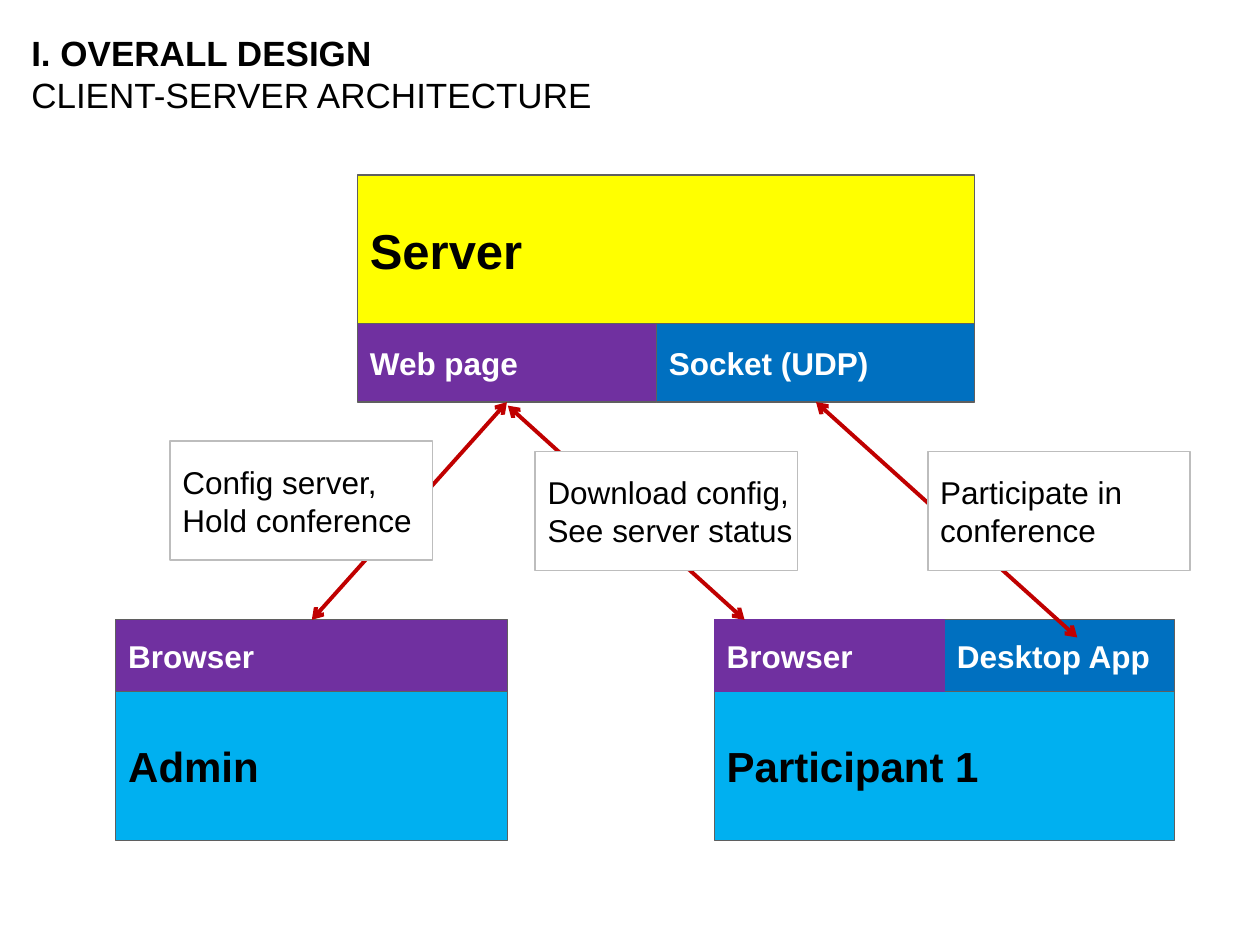
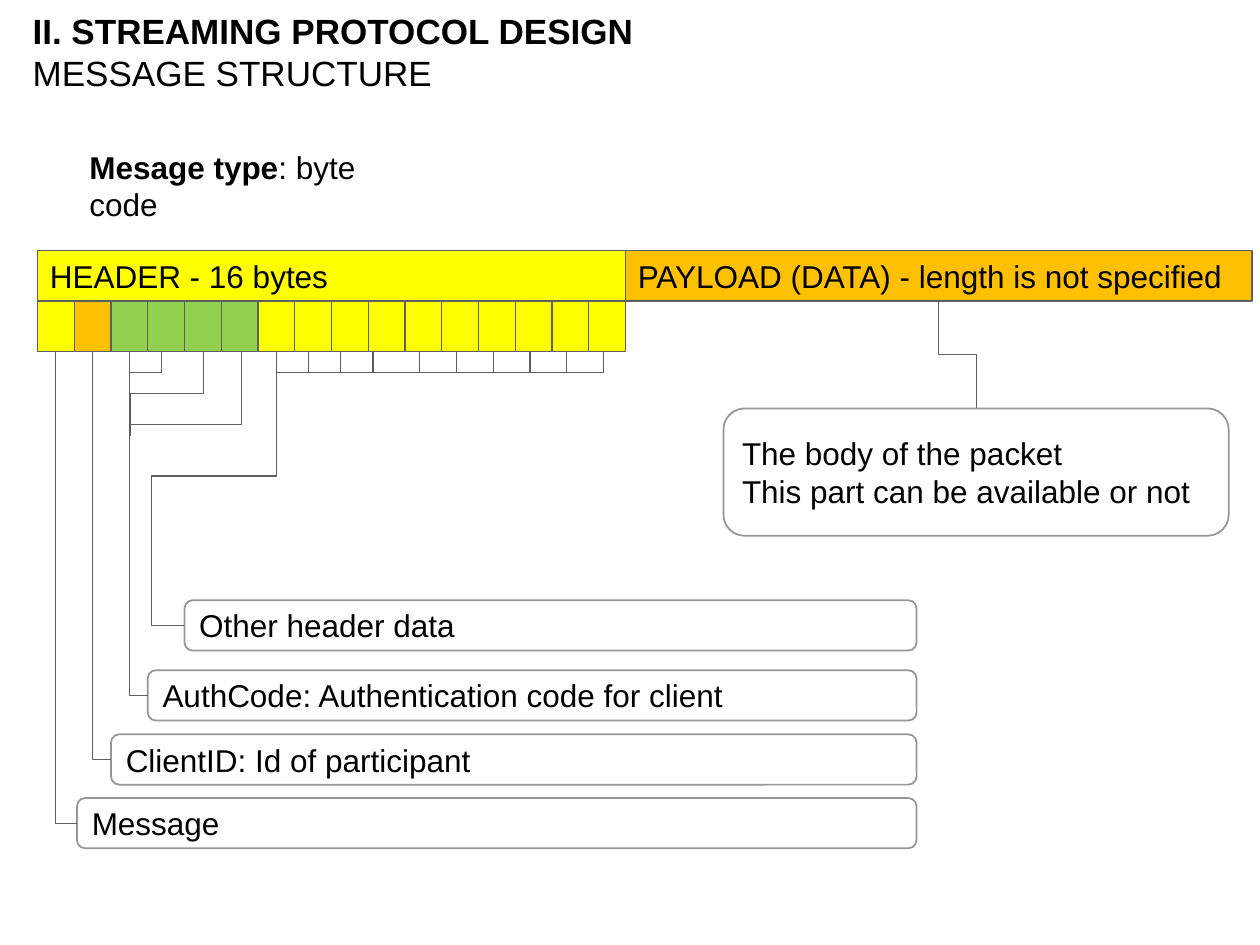
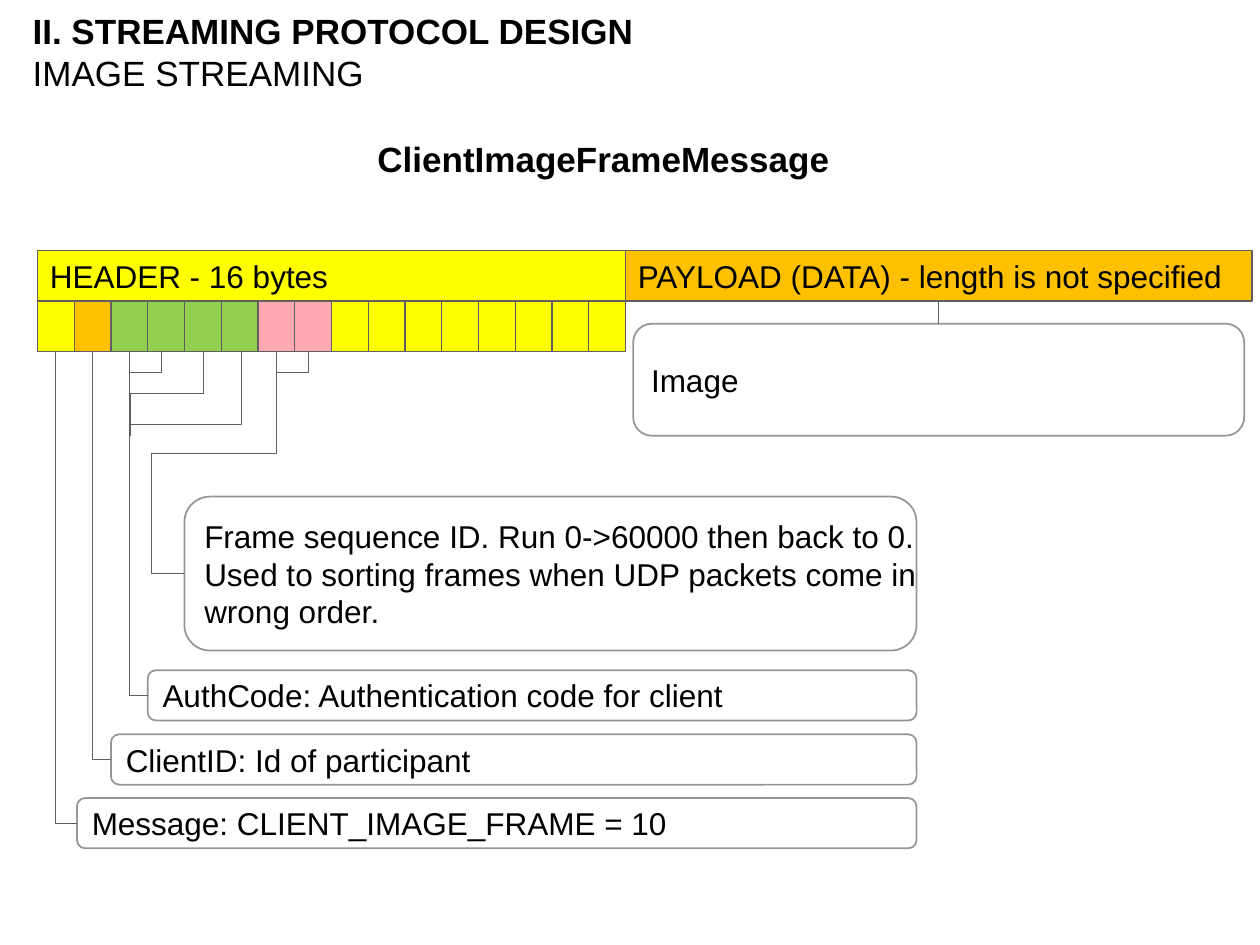
from dataclasses import dataclass

from pptx import Presentation
from pptx.dml.color import RGBColor
from pptx.enum.shapes import MSO_CONNECTOR, MSO_SHAPE
from pptx.enum.text import MSO_ANCHOR, MSO_AUTO_SIZE, PP_ALIGN
from pptx.oxml.ns import qn
from pptx.oxml.xmlchemy import OxmlElement
from pptx.shapes.autoshape import Shape
from pptx.shapes.connector import Connector
from pptx.slide import Slide
from pptx.text.text import TextFrame
from pptx.util import Pt

RECTANGLE = MSO_SHAPE.RECTANGLE
ROUNDED = MSO_SHAPE.ROUNDED_RECTANGLE
STRAIGHT = MSO_CONNECTOR.STRAIGHT
ELBOW = MSO_CONNECTOR.ELBOW
MIDDLE = MSO_ANCHOR.MIDDLE
TOP = MSO_ANCHOR.TOP
LEFT = PP_ALIGN.LEFT
FIT_SHAPE = MSO_AUTO_SIZE.SHAPE_TO_FIT_TEXT
NO_FIT = MSO_AUTO_SIZE.NONE

BLACK = RGBColor(0x00, 0x00, 0x00)
WHITE = RGBColor(0xFF, 0xFF, 0xFF)
YELLOW = RGBColor(0xFF, 0xFF, 0x00)
ORANGE = RGBColor(0xFF, 0xC0, 0x00)
GREEN = RGBColor(0x92, 0xD0, 0x50)
PINK = RGBColor(0xFE, 0xA8, 0xB2)
PURPLE = RGBColor(0x70, 0x30, 0xA0)
BLUE = RGBColor(0x00, 0x70, 0xC0)
SKY = RGBColor(0x00, 0xB0, 0xF0)
RED = RGBColor(0xC0, 0x00, 0x00)
OUTLINE = RGBColor(0x5F, 0x5F, 0x5F)
NOTE_OUTLINE = RGBColor(0xBD, 0xBD, 0xBD)
CALLOUT_OUTLINE = RGBColor(0x96, 0x96, 0x96)

FONT = "Arial"
LEFT_SITE, BOTTOM_SITE, TOP_SITE = 1, 2, 0

HEADER_LEFT, HEADER_TOP, ROW_HEIGHT = 21.4, 143.2, 28.8
CELL_WIDTH, CELL_COUNT = 21, 16
PAYLOAD_LEFT = HEADER_LEFT + CELL_WIDTH * CELL_COUNT
PAYLOAD_WIDTH = 358
PAYLOAD_CENTER = PAYLOAD_LEFT + PAYLOAD_WIDTH / 2
CELL_TOP = HEADER_TOP + ROW_HEIGHT
CELL_BOTTOM = CELL_TOP + ROW_HEIGHT
STUB_BOTTOM = 213.1
STUB_STEP = 18.4
CALLOUT_RIGHT = 523.8
OTHER_LEFT = 105.4
OTHER_LEAD_LEFT = 86.4

Point = tuple[float, float]
Spans = list[tuple[str, bool]]


@dataclass(frozen=True)
class Box:
    left: float
    top: float
    width: float
    height: float
    lines: tuple[str, ...] = ()
    fill: RGBColor = WHITE
    outline: RGBColor = OUTLINE
    outline_width: float = 0.75
    size: float = 18
    bold: bool = False
    color: RGBColor = BLACK
    preset: MSO_SHAPE = RECTANGLE


@dataclass(frozen=True)
class Callout:
    left: float
    top: float
    lines: tuple[str, ...]
    cell: int
    height: float = ROW_HEIGHT


def fill_text(frame: TextFrame, paragraphs: list[Spans], size: float,
              color: RGBColor, frame_format: dict[str, object]) -> None:
    for name, value in frame_format.items():
        setattr(frame, name, value)
    for index, spans in enumerate(paragraphs):
        para = frame.paragraphs[0] if index == 0 else frame.add_paragraph()
        para.alignment = LEFT
        for text, bold in spans:
            span = para.add_run()
            span.text = text
            font_format = {"name": FONT, "size": Pt(size), "bold": bold}
            for name, value in font_format.items():
                setattr(span.font, name, value)
            span.font.color.rgb = color


def draw_box(page: Slide, box: Box) -> Shape:
    shape = page.shapes.add_shape(
        box.preset, Pt(box.left), Pt(box.top), Pt(box.width), Pt(box.height))
    shape.shadow.inherit = False
    shape.fill.solid()
    shape.fill.fore_color.rgb = box.fill
    shape.line.color.rgb = box.outline
    shape.line.width = Pt(box.outline_width)
    if box.lines:
        fill_text(shape.text_frame, [[(line, box.bold)] for line in box.lines],
                  box.size, box.color,
                  {"word_wrap": False, "vertical_anchor": MIDDLE})
    return shape


def draw_text(page: Slide, area: tuple[float, float, float, float],
              paragraphs: list[Spans], size: float = 20,
              wrap: bool = True, fit: bool = True) -> None:
    box = page.shapes.add_textbox(*map(Pt, area))
    fill_text(box.text_frame, paragraphs, size, BLACK, {
        "word_wrap": wrap,
        "auto_size": FIT_SHAPE if fit else NO_FIT,
        "vertical_anchor": TOP if fit else MIDDLE,
    })


def draw_title(page: Slide, left: float, top: float, section: str, topic: str) -> None:
    draw_text(page, (left, top, 648, 46), [[(section, True)], [(topic, False)]], fit=False)


def style_connector(connector: Connector, color: RGBColor, width: float) -> None:
    connector.line.color.rgb = color
    connector.line.width = Pt(width)
    connector.element.spPr.append(OxmlElement("a:effectLst"))


def draw_line(page: Slide, start: Point, end: Point, color: RGBColor = OUTLINE,
              width: float = 0.75, arrows: bool = False) -> None:
    connector = page.shapes.add_connector(STRAIGHT, *map(Pt, (*start, *end)))
    style_connector(connector, color, width)
    if arrows:
        line = connector.element.spPr.find(qn("a:ln"))
        for tag in ("a:headEnd", "a:tailEnd"):
            line.append(OxmlElement(tag))
            line[-1].set("type", "arrow")


def draw_elbow(page: Slide, points: list[Point],
               source: tuple[Shape, int] | None = None,
               target: tuple[Shape, int] | None = None) -> None:
    start, end = points[0], points[-1]
    connector = page.shapes.add_connector(ELBOW, *map(Pt, (*start, *end)))
    if source:
        connector.begin_connect(*source)
    if target:
        connector.end_connect(*target)
    delta_x, delta_y = end[0] - start[0], end[1] - start[1]
    upright = points[1][0] == start[0]
    along, across = (1, 0) if upright else (0, 1)
    length, depth = abs(end[along] - start[along]), abs(end[across] - start[across])
    rotation, flipped = 0, delta_y < 0
    if upright:
        rotation = 90 if delta_y > 0 else 270
        flipped = (delta_x > 0) == (delta_y > 0)
    placement = {
        "left": (start[0] + end[0] - length) / 2,
        "top": (start[1] + end[1] - depth) / 2,
        "width": length,
        "height": depth,
    }
    for name, value in placement.items():
        setattr(connector, name, Pt(value))
    properties = connector.element.spPr
    transform = properties.find(qn("a:xfrm"))
    for name, value in {"rot": rotation * 60000, "flipH": 0, "flipV": int(flipped)}.items():
        transform.set(name, str(value))
    geometry = properties.find(qn("a:prstGeom"))
    geometry.set("prst", f"bentConnector{len(points) - 1}")
    guides = geometry.find(qn("a:avLst"))
    if guides is None:
        guides = OxmlElement("a:avLst")
        geometry.append(guides)
    for number, point in enumerate(points[1:-2], 1):
        axis = along if number % 2 else across
        share = (point[axis] - start[axis]) / (end[axis] - start[axis])
        guide = OxmlElement("a:gd")
        guide.set("name", f"adj{number}")
        guide.set("fmla", f"val {round(share * 100000)}")
        guides.append(guide)
    style_connector(connector, OUTLINE, 0.75)


def rounded_box(left: float, top: float, width: float, height: float,
                lines: tuple[str, ...]) -> Box:
    return Box(left, top, width, height, lines, outline=CALLOUT_OUTLINE,
               outline_width=1, preset=ROUNDED)


def cell_center(index: int) -> float:
    return HEADER_LEFT + CELL_WIDTH * (index + 0.5)


def draw_packet(page: Slide, cell_fills: list[RGBColor]) -> tuple[Shape, list[Shape]]:
    draw_box(page, Box(HEADER_LEFT, HEADER_TOP, CELL_WIDTH * CELL_COUNT, ROW_HEIGHT,
                       ("HEADER - 16 bytes",), YELLOW))
    payload = draw_box(page, Box(PAYLOAD_LEFT, HEADER_TOP, PAYLOAD_WIDTH, ROW_HEIGHT,
                                 ("PAYLOAD (DATA) - length is not specified",), ORANGE))
    cells = [
        draw_box(page, Box(HEADER_LEFT + CELL_WIDTH * index, CELL_TOP,
                           CELL_WIDTH, ROW_HEIGHT, fill=fill))
        for index, fill in enumerate(cell_fills)
    ]
    return payload, cells


def draw_callouts(page: Slide, cells: list[Shape], message: str,
                  other: Callout, other_turn: float) -> None:
    callouts = [
        Callout(44, 456, (message,), 0),
        Callout(63.4, 419.6, ("ClientID: Id of participant",), 1),
        Callout(84.4, 383, ("AuthCode: Authentication code for client",), 2),
        other,
    ]
    for callout in callouts:
        shape = draw_box(page, rounded_box(callout.left, callout.top,
                                           CALLOUT_RIGHT - callout.left,
                                           callout.height, callout.lines))
        center = cell_center(callout.cell)
        middle = callout.top + callout.height / 2
        turns = [(center, middle)]
        if callout is other:
            turns = [(center, other_turn), (OTHER_LEAD_LEFT, other_turn),
                     (OTHER_LEAD_LEFT, middle)]
        draw_elbow(page, [(center, CELL_BOTTOM), *turns, (callout.left, middle)],
                   (cells[callout.cell], BOTTOM_SITE), (shape, LEFT_SITE))


def draw_stub(page: Slide, left: float) -> None:
    right = left + STUB_STEP
    draw_elbow(page, [(left, STUB_BOTTOM), (right, STUB_BOTTOM), (right, CELL_BOTTOM)])


def draw_auth_stubs(page: Slide) -> None:
    draw_stub(page, cell_center(2))
    for bottom, turn, right in ((249, 224.9, 116.4), (283.6, 242.6, 138.2)):
        draw_elbow(page, [(74.2, bottom), (74.2, turn), (right, turn), (right, CELL_BOTTOM)])


def build_architecture(page: Slide) -> None:
    draw_title(page, 10.8, 18.7, "I. OVERALL DESIGN", "CLIENT-SERVER ARCHITECTURE")
    label = {"bold": True, "color": WHITE}
    boxes = [
        Box(204.3, 100, 352.7, 85, ("Server",), YELLOW, size=28, bold=True),
        Box(66.2, 395.2, 224, 85, ("Admin",), SKY, size=24, bold=True),
        Box(375.2, 185, 181.8, 44.8, ("Socket (UDP)",), BLUE, **label),
        Box(204.3, 185, 170.9, 44.8, ("Web page",), PURPLE, **label),
        Box(408.2, 395.2, 263, 85, ("Participant 1",), SKY, size=24, bold=True),
        Box(539.7, 354.2, 131.5, 41, ("Desktop App",), BLUE, **label),
        Box(408.2, 354.2, 131.5, 41, ("Browser",), PURPLE, PURPLE, **label),
        Box(66.2, 354.2, 224, 41, ("Browser",), PURPLE, **label),
    ]
    for box in boxes:
        draw_box(page, box)
    arrows = [
        ((290.2, 231.8), (425.5, 354.2)),
        ((289.7, 229.8), (178.2, 354.2)),
        ((466.3, 229.8), (615.6, 364.3)),
    ]
    for start, end in arrows:
        draw_line(page, start, end, RED, 2.25, arrows=True)
    notes = [
        (305.8, 258, ("Download config,", "See server status")),
        (97.2, 252, ("Config server,", "Hold conference")),
        (530.2, 258, ("Participate in", "conference")),
    ]
    for left, top, lines in notes:
        draw_box(page, Box(left, top, 150, 68, lines, outline=NOTE_OUTLINE, outline_width=1))


def build_message_structure(page: Slide) -> None:
    draw_title(page, 11.6, 6.6, "II. STREAMING PROTOCOL DESIGN", "MESSAGE STRUCTURE")
    draw_text(page, (44, 80.8, 210, 29), [[("Mesage type", True), (": byte code", False)]],
              18, wrap=False)
    payload, cells = draw_packet(page, [YELLOW, ORANGE] + [GREEN] * 4 + [YELLOW] * 10)
    draw_callouts(page, cells, "Message",
                  Callout(OTHER_LEFT, 343, ("Other header data",), 6), 272)
    draw_auth_stubs(page)
    for step in range(3):
        draw_stub(page, cell_center(6) + STUB_STEP * step)
    for index in range(9, 15):
        left = HEADER_LEFT + CELL_WIDTH * index
        turn = left + 29.4
        draw_elbow(page, [(left, STUB_BOTTOM), (turn, STUB_BOTTOM),
                          (turn, CELL_BOTTOM), (left + 30.8, CELL_BOTTOM)])
    body = draw_box(page, rounded_box(413.4, 233.4, 288.8, 72.8, (
        "The body of the packet", "This part can be available or not")))
    draw_elbow(page, [(PAYLOAD_CENTER, CELL_TOP), (PAYLOAD_CENTER, 202.7),
                      (557.8, 202.7), (557.8, 233.4)],
               (payload, BOTTOM_SITE), (body, TOP_SITE))


def build_image_streaming(page: Slide) -> None:
    draw_title(page, 11.6, 6.6, "II. STREAMING PROTOCOL DESIGN", "IMAGE STREAMING")
    draw_text(page, (208.6, 74.8, 276.5, 31.5), [[("ClientImageFrameMessage", True)]])
    fills = [YELLOW, ORANGE] + [GREEN] * 4 + [PINK] * 2 + [YELLOW] * 8
    _, cells = draw_packet(page, fills)
    sequence = Callout(OTHER_LEFT, 283.8, (
        "Frame sequence ID. Run 0->60000 then back to 0.",
        "Used to sorting frames when UDP packets come in",
        "wrong order."), 6, 88)
    draw_callouts(page, cells, "Message: CLIENT_IMAGE_FRAME = 10", sequence, 259.4)
    draw_auth_stubs(page)
    draw_stub(page, cell_center(6))
    draw_box(page, rounded_box(361.8, 185, 349.2, 64, ("Image",)))
    draw_line(page, (PAYLOAD_CENTER, 185), (PAYLOAD_CENTER, CELL_TOP))


def main() -> None:
    deck = Presentation()
    deck.slide_width, deck.slide_height = Pt(720), Pt(540)
    for build in (build_architecture, build_message_structure, build_image_streaming):
        build(deck.slides.add_slide(deck.slide_layouts[6]))
    deck.save("out.pptx")


if __name__ == "__main__":
    main()
